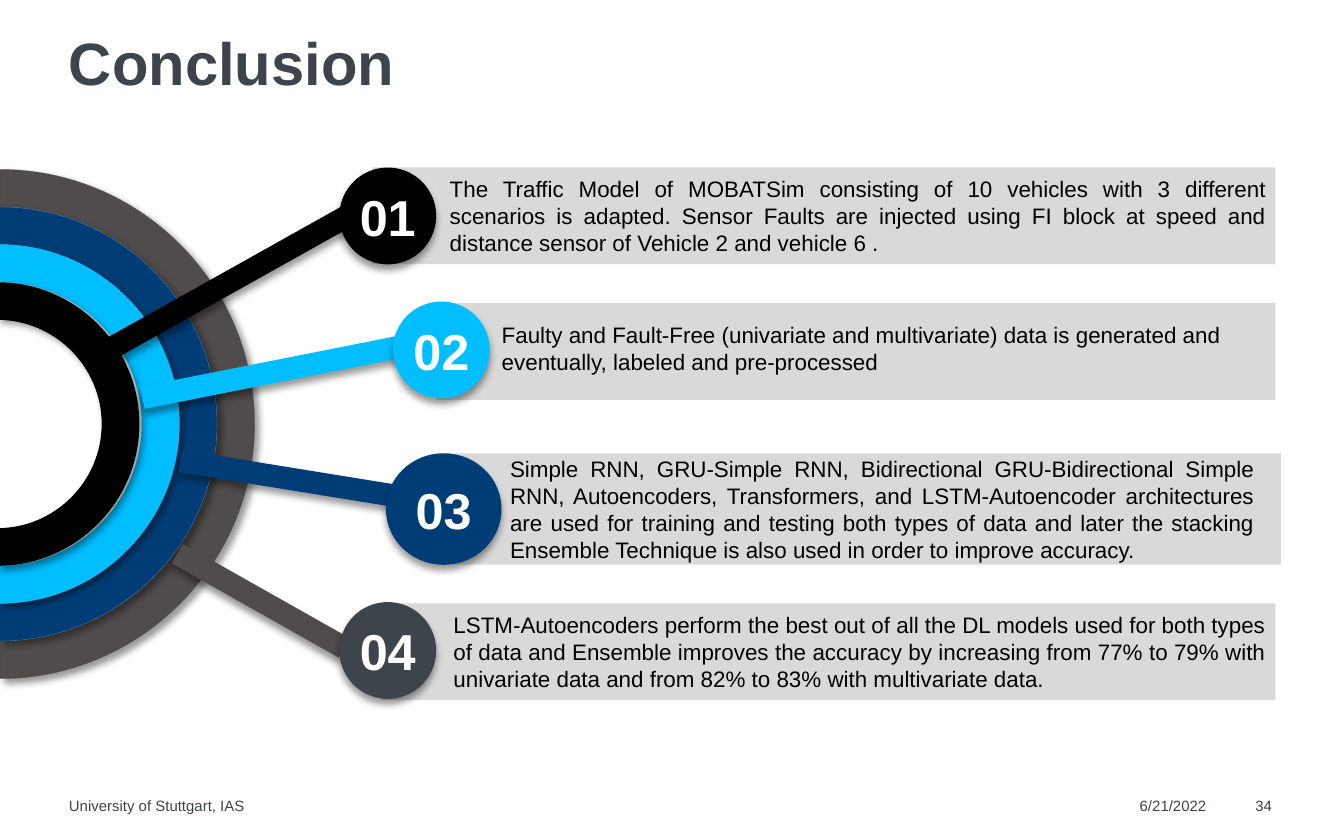
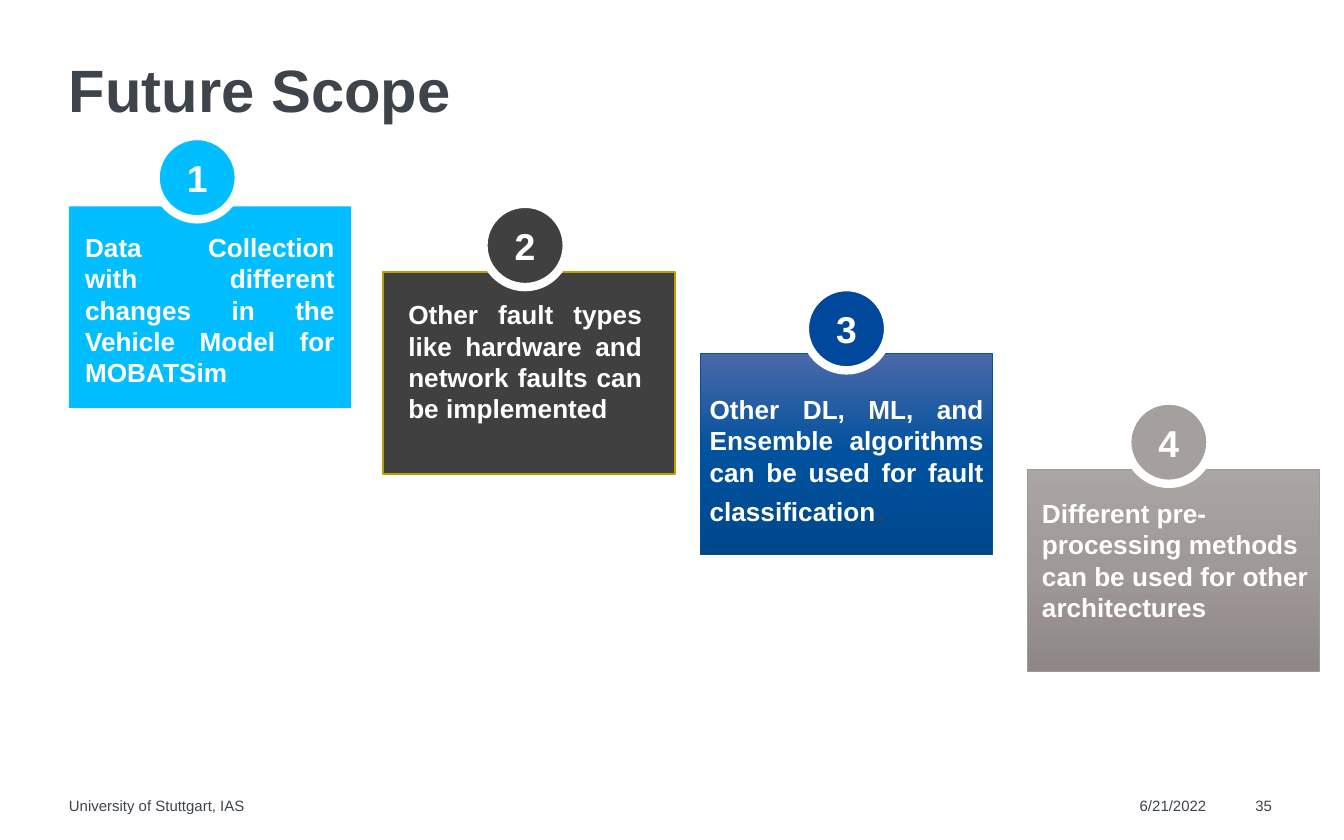
import copy

import pptx
import pptx.dml.color
import pptx.enum.shapes
import pptx.enum.text
import pptx.oxml.ns
import pptx.util
from lxml import etree

COLORS = {
    "ink": "3E444C", "black": "000000", "white": "FFFFFF", "bar": "D9D9D9",
    "sky": "00BEFF", "navy": "003D76", "ice": "7DC6EA", "brown": "504C4B",
    "charcoal": "404040", "gold": "BD9E00",
    "blue": "00489B", "blue top": "4B69A9", "blue middle": "00519E", "blue end": "00488C",
    "gray": "A59F9E", "gray top": "AAA4A3", "gray middle": "9F9998", "gray end": "8E8786",
}
FONT = "Arial"
SHAPES = pptx.enum.shapes.MSO_SHAPE
ALIGN = pptx.enum.text.PP_ALIGN
ANCHOR = pptx.enum.text.MSO_ANCHOR
qn = pptx.oxml.ns.qn

MARGIN = 5.13
FOOTER = [("6/21/2022", 84.8, 5.8), ("University of Stuttgart, IAS", MARGIN, 66.3)]
PAGE_NUMBER = (93.4, 2.4)
FOOTER_TOP, FOOTER_HEIGHT = 59.3, 1.4

RING_CENTER, RING_OUTER, RING_STEP = 31.55, 18.95, 2.8
CURVE = 0.55
HAIRLINE = 0.02
RINGS = [("brown", "ink", 0), ("navy", "ice", 0), ("sky", "sky", 0), ("black", None, -0.18)]
SPOKES = [
    ("black", 6.7, 26.8, 25.8, 16.1),
    ("sky", 10.6, 29.6, 29.8, 25.8),
    ("navy", 13.4, 34.3, 30.7, 37.1),
    ("brown", 13.2, 41.2, 25.6, 48.2),
]
CONCLUSIONS = [
    {"color": "black", "bar": (27.7, 12.45, 67.2, 7.2), "disc": (25.25, 12.47, 7.2, 7.2),
     "place": (33.46, 13.04, 60.8, 4.5), "align": ALIGN.JUSTIFY,
     "text": "The Traffic Model of MOBATSim consisting of 10 vehicles with 3 different scenarios is "
             "adapted. Sensor Faults are injected using FI block at speed and distance sensor of "
             "Vehicle 2 and vehicle 6 ."},
    {"color": "sky", "bar": (32.5, 22.55, 62.4, 7.2), "disc": (29.24, 22.44, 7.2, 7.2),
     "place": (37.33, 23.9, 59.9, 4.5), "align": ALIGN.LEFT,
     "text": "Faulty and Fault-Free (univariate and multivariate) data is generated and eventually, "
             "labeled and pre-processed"},
    {"color": "navy", "bar": (33.9, 33.73, 61.4, 8.3), "disc": (28.72, 33.73, 8.6, 8.3),
     "place": (37.95, 33.9, 55.43, 8.3), "align": ALIGN.JUSTIFY,
     "text": "Simple RNN, GRU-Simple RNN, Bidirectional GRU-Bidirectional Simple RNN, Autoencoders, "
             "Transformers, and LSTM-Autoencoder architectures are used for training and testing "
             "both types of data and later the stacking Ensemble Technique is also used in order to "
             "improve accuracy."},
    {"color": "ink", "bar": (28.4, 44.9, 66.5, 7.2), "disc": (25.25, 44.8, 7.2, 7.2),
     "place": (33.74, 45.5, 60.5, 7.6), "align": ALIGN.JUSTIFY,
     "text": "LSTM-Autoencoders perform the best out of all the DL models used for both types of "
             "data and Ensemble improves the accuracy by increasing from 77% to 79% with univariate "
             "data and from 82% to 83% with multivariate data."},
]
CARD_HEIGHT, DISC_SIZE = 15, 6.2
CARDS = [
    {"card": (MARGIN, 15.35, 21), "fill": ["sky"], "line": None,
     "disc": ("sky", 11.57, 10.12), "place": (6.33, 17.2, 18.58, 10.1), "align": ALIGN.JUSTIFY,
     "text": "Data Collection with different changes in the Vehicle Model for MOBATSim"},
    {"card": (28.5, 20.25, 21.7), "fill": ["charcoal"], "line": ("gold", 1),
     "disc": ("charcoal", 35.97, 15.16), "place": (30.38, 22.23, 17.4, 11.6),
     "align": ALIGN.JUSTIFY,
     "text": "Other fault types like hardware and network faults can be implemented"},
    {"card": (52.12, 26.3, 21.73), "fill": ["blue top", "blue middle", "blue end"],
     "line": ("blue middle", 0.5),
     "disc": ("blue", 59.88, 21.36), "place": (52.8, 29.27, 20.4, 10.1), "align": ALIGN.JUSTIFY,
     "text": "Other DL, ML, and Ensemble algorithms can be used for fault classification",
     "ending": "."},
    {"card": (76.44, 34.94, 21.73), "fill": ["gray top", "gray middle", "gray end"],
     "line": ("gray middle", 0.5),
     "disc": ("gray", 83.87, 29.8), "place": (77.53, 37, 20.6, 10.9), "align": ALIGN.LEFT,
     "text": "Different pre-processing methods can be used for other architectures"},
]

deck = pptx.Presentation()
deck.slide_width = pptx.util.Inches(10)
deck.slide_height = pptx.util.Inches(6.25)


def share(percent):
    return round(deck.slide_width * percent / 100)


def shares(place):
    return [share(percent) for percent in place]


def rgb(name):
    return pptx.dml.color.RGBColor.from_string(COLORS[name])


def add_span(para, text, size, color, bold=False):
    span = para.add_run()
    span.text = text
    span.font.name = FONT
    span.font.size = pptx.util.Pt(size)
    span.font.bold = bold
    span.font.color.rgb = rgb(color)


def prepare_frame(frame, anchor, sides=0, ends=0):
    frame.word_wrap = True
    frame.auto_size = pptx.enum.text.MSO_AUTO_SIZE.NONE
    frame.vertical_anchor = anchor
    frame.margin_left = frame.margin_right = share(sides)
    frame.margin_top = frame.margin_bottom = share(ends)
    return frame.paragraphs[0]


def add_text(page, place, text, size, color, align=ALIGN.LEFT, bold=False):
    box = page.shapes.add_textbox(*shares(place))
    para = prepare_frame(box.text_frame, ANCHOR.TOP)
    para.alignment = align
    add_span(para, text, size, color, bold)
    return para


def set_line(shape, line):
    if line is None:
        shape.line.fill.background()
    else:
        color, width = line
        shape.line.color.rgb = rgb(color)
        shape.line.width = pptx.util.Pt(width)


def set_fill(shape, names):
    if len(names) == 1:
        shape.fill.solid()
        shape.fill.fore_color.rgb = rgb(names[0])
        return
    shape.fill.gradient()
    shape.fill.gradient_angle = 270
    stop_list = shape.element.spPr.find(".//" + qn("a:gsLst"))
    while len(stop_list) < len(names):
        stop_list.append(copy.deepcopy(stop_list[0]))
    for index, (stop, name) in enumerate(zip(shape.fill.gradient_stops, names)):
        stop.position = index / (len(names) - 1)
        stop.color.rgb = rgb(name)


def add_shadow(shape, angle):
    properties = shape.element.spPr
    effects = properties.find(qn("a:effectLst"))
    if effects is None:
        effects = etree.SubElement(properties, qn("a:effectLst"))
    shadow = etree.SubElement(effects, qn("a:outerShdw"), blurRad=str(pptx.util.Pt(4)),
                              dist=str(pptx.util.Pt(3)), dir=str(angle * 60000),
                              algn="ctr", rotWithShape="0")
    color = etree.SubElement(shadow, qn("a:srgbClr"), val=COLORS["black"])
    etree.SubElement(color, qn("a:alpha"), val="40000")


def style_shape(shape, names, line=None):
    shape.shadow.inherit = False
    set_fill(shape, names)
    set_line(shape, line)
    return shape


def add_box(page, kind, place, names, line=None):
    return style_shape(page.shapes.add_shape(kind, *shares(place)), names, line)


def add_disc(page, place, color, text, size, line=None, sides=0):
    disc = add_box(page, SHAPES.OVAL, place, [color], line)
    para = prepare_frame(disc.text_frame, ANCHOR.MIDDLE, sides, 0.5)
    para.alignment = ALIGN.CENTER
    add_span(para, text, size, "white", True)
    return disc


def round_quarters(shape):
    points = list(shape.element.spPr.iter(qn("a:pt")))
    corners = [(int(point.get("x")), int(point.get("y"))) for point in points]
    for point, (x1, y1), (x2, y2) in zip(points[1:], corners, corners[1:]):
        if x1 == x2:
            continue
        across, down = round(CURVE * (x2 - x1)), round(CURVE * (y2 - y1))
        if x1 < x2:
            handles = [(x1 + across, y1), (x2, y2 - down)]
        else:
            handles = [(x1, y1 + down), (x2 - across, y2)]
        segment = point.getparent()
        curve = etree.Element(qn("a:cubicBezTo"))
        for x, y in handles + [(x2, y2)]:
            etree.SubElement(curve, qn("a:pt"), x=str(x), y=str(y))
        segment.getparent().replace(segment, curve)


def add_ring(page, outer, color, line, left):
    def half_circle(radius):
        return [(share(left), share(RING_CENTER - radius)),
                (share(left + radius), share(RING_CENTER)),
                (share(left), share(RING_CENTER + radius))]

    points = half_circle(outer) + half_circle(outer - RING_STEP)[::-1]
    builder = page.shapes.build_freeform(*points[0])
    builder.add_line_segments(points[1:], close=True)
    ring = style_shape(builder.convert_to_shape(), [color], line and (line, HAIRLINE))
    round_quarters(ring)
    add_shadow(ring, 45)


def add_page(title, title_top, number):
    page = deck.slides.add_slide(deck.slide_layouts[5])
    heading = page.shapes.title
    heading.left, heading.top, heading.width, heading.height = shares((MARGIN, title_top, 89.8, 3))
    para = prepare_frame(heading.text_frame, ANCHOR.BOTTOM)
    para.alignment = ALIGN.LEFT
    para.line_spacing = 0.9
    add_span(para, title, 32, "ink", True)
    for text, left, width in FOOTER + [(number, *PAGE_NUMBER)]:
        add_text(page, (left, FOOTER_TOP, width, FOOTER_HEIGHT), text, 8, "ink")
    return page


def build_conclusion():
    page = add_page("Conclusion", 4.34, "34")
    for index, (color, line, left) in enumerate(RINGS):
        add_ring(page, RING_OUTER - index * RING_STEP, color, line, left)
    for color, *ends in SPOKES:
        spoke = page.shapes.add_connector(pptx.enum.shapes.MSO_CONNECTOR.STRAIGHT, *shares(ends))
        set_line(spoke, (color, 12))
        add_shadow(spoke, 90)
    for row in CONCLUSIONS:
        add_box(page, SHAPES.RECTANGLE, row["bar"], ["bar"])
    for number, row in enumerate(CONCLUSIONS, 1):
        add_shadow(add_disc(page, row["disc"], row["color"], f"{number:02}", 27), 90)
    for row in CONCLUSIONS:
        add_text(page, row["place"], row["text"], 12, "black", row["align"])


def build_future_scope():
    page = add_page("Future Scope", 6.3, "35")
    for step in CARDS:
        add_box(page, SHAPES.RECTANGLE, (*step["card"], CARD_HEIGHT), step["fill"], step["line"])
    for step in CARDS:
        para = add_text(page, step["place"], step["text"], 14, "white", step["align"], True)
        if "ending" in step:
            add_span(para, step["ending"], 18, "ink")
    for number, step in enumerate(CARDS, 1):
        color, left, top = step["disc"]
        add_disc(page, (left, top, DISC_SIZE, DISC_SIZE), color, str(number), 20, ("white", 4.5), 1)


if __name__ == "__main__":
    build_conclusion()
    build_future_scope()
    deck.save("out.pptx")
